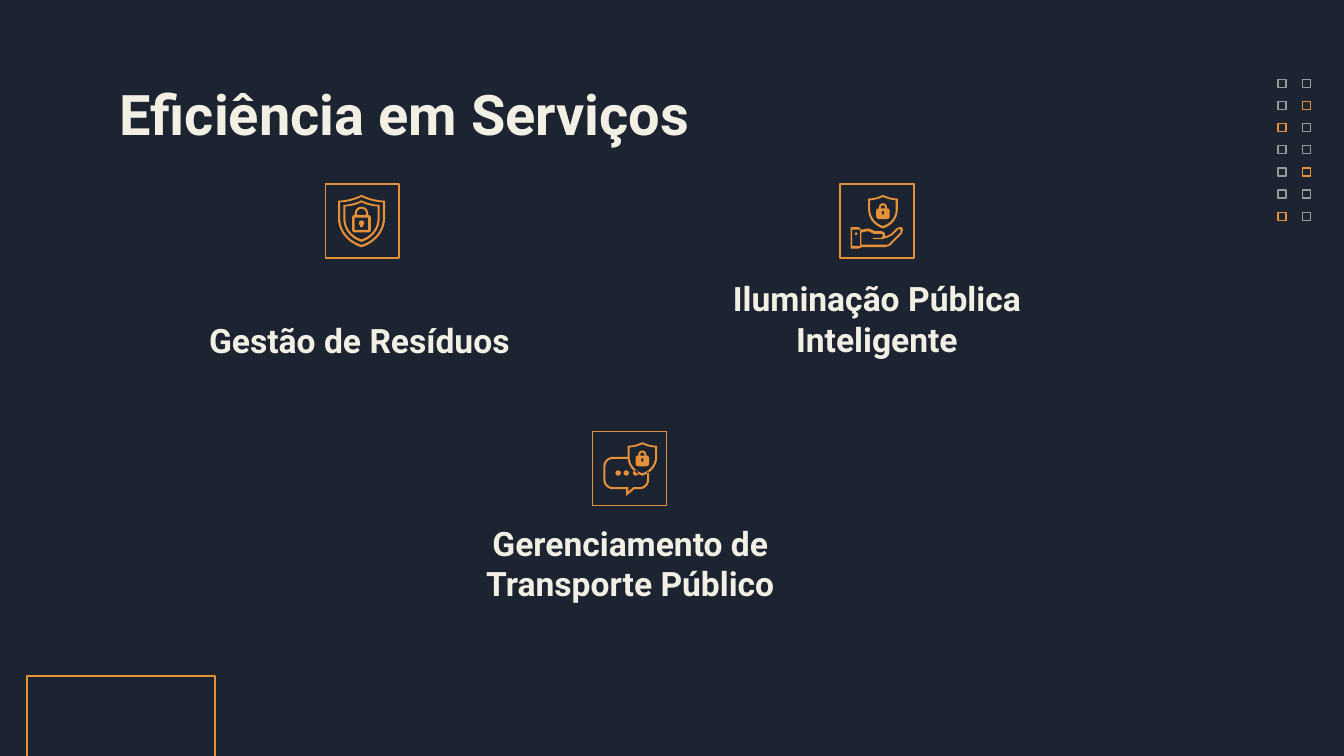
from dataclasses import dataclass
from math import cos, radians, sin

from pptx import Presentation
from pptx.dml.color import RGBColor
from pptx.enum.shapes import MSO_SHAPE
from pptx.enum.text import MSO_ANCHOR, PP_ALIGN
from pptx.util import Inches, Pt

RECTANGLE = MSO_SHAPE.RECTANGLE
TOP, BOTTOM = MSO_ANCHOR.TOP, MSO_ANCHOR.BOTTOM
LEFT, CENTER = PP_ALIGN.LEFT, PP_ALIGN.CENTER
STROKE = Pt(1.1).inches


@dataclass(frozen=True)
class Theme:
    background: str = "1D2431"
    text: str = "F2F0E4"
    accent: str = "E69138"
    muted: str = "999999"
    font: str = "Roboto"
    title_size: float = 30
    label_size: float = 18
    line_width: float = 0.75


def color(value):
    return RGBColor.from_string(value)


# Contours: lists of (x, y) points in inches
def arc(x, y, radius, start, end, steps=10):
    angles = [radians(start + (end - start) * i / steps) for i in range(steps + 1)]
    return [(x + radius * cos(a), y + radius * sin(a)) for a in angles]


def curve(a, b, c, d, steps=10):
    points = []
    for i in range(steps + 1):
        t = i / steps
        weights = ((1 - t) ** 3, 3 * t * (1 - t) ** 2, 3 * t * t * (1 - t), t ** 3)
        points.append(tuple(sum(w * p[axis] for w, p in zip(weights, (a, b, c, d)))
                            for axis in (0, 1)))
    return points


def rectangle(left, top, right, bottom):
    return [(left, top), (right, top), (right, bottom), (left, bottom)]


def shield(x, top, width, height):
    """Outer and inner edge of a shield outline."""
    half = (curve((0, 0), (0.14, 0.06), (0.32, 0.11), (0.5, 0.11))
            + curve((0.5, 0.44), (0.5, 0.68), (0.32, 0.91), (0, 1)))
    unit = half + [(-px, py) for px, py in reversed(half)]
    return [[(x + px * (width - 2 * inset), top + inset + py * (height - 2.2 * inset))
             for px, py in unit] for inset in (0, STROKE)]


def padlock(x, top, width, height, radius):
    """Silhouette of body and shackle, then the shackle opening."""
    arch = top - radius / 4
    body = [(x - radius, top)] + arc(x, arch, radius, 180, 360) + [(x + radius, top)]
    corner = 0.02
    left, right = x - width / 2 + corner, x + width / 2 - corner
    upper, lower = top + corner, top + height - corner
    centers = [(right, upper), (right, lower), (left, lower), (left, upper)]
    for quarter, (corner_x, corner_y) in enumerate(centers):
        start = 90 * quarter - 90
        body += arc(corner_x, corner_y, corner, start, start + 90, 4)
    inner = radius - STROKE
    opening = arc(x, arch, inner, 180, 360) + [(x + inner, top), (x - inner, top)]
    return [body, opening]


def keyhole(x, y, radius, length):
    return arc(x, y, radius, 120, 420) + [(x + radius / 2, y + length),
                                          (x - radius / 2, y + length)]


def small_padlock(x, top):
    return padlock(x, top, 0.1, 0.08, 0.03) + [keyhole(x, top + 0.03, 0.01, 0.02)]


def bubble():
    """Band of a speech bubble, open where the shield covers it."""
    def edge(inset):
        radius = 0.07 - inset
        return ([(4.67, 3.4 + inset)]
                + arc(4.56, 3.47, radius, 270, 180) + arc(4.56, 3.57, radius, 180, 90)
                + [(4.66 + inset, 3.64 - inset), (4.66 + inset, 3.69 - 2 * inset),
                   (4.72 - inset / 2, 3.64 - inset)]
                + arc(4.76, 3.57, radius, 90, 0) + [(4.83 - inset, 3.51)])
    return edge(0) + edge(STROKE)[::-1]


HAND = [
    [(6.33, 1.69), (6.39, 1.69), (6.41, 1.71), (6.46, 1.7), (6.49, 1.71), (6.51, 1.72),
     (6.56, 1.72), (6.58, 1.73), (6.59, 1.76), (6.61, 1.75), (6.63, 1.74), (6.67, 1.7),
     (6.69, 1.69), (6.71, 1.69), (6.72, 1.71), (6.71, 1.74), (6.65, 1.8), (6.62, 1.83),
     (6.58, 1.84), (6.41, 1.84), (6.39, 1.85), (6.33, 1.85)],
    [(6.69, 1.7), (6.7, 1.71), (6.7, 1.73), (6.64, 1.79), (6.61, 1.82), (6.58, 1.82),
     (6.41, 1.82), (6.41, 1.73), (6.46, 1.72), (6.5, 1.74), (6.56, 1.74), (6.57, 1.75),
     (6.56, 1.77), (6.5, 1.77), (6.49, 1.77), (6.5, 1.78), (6.56, 1.78), (6.6, 1.77),
     (6.64, 1.75), (6.68, 1.71)],
    rectangle(6.34, 1.71, 6.4, 1.83),
]


class SlideBuilder:
    def __init__(self, slide, theme):
        self.slide, self.theme = slide, theme
        slide.background.fill.solid()
        slide.background.fill.fore_color.rgb = color(theme.background)

    def square(self, left, top, size, line):
        shape = self.slide.shapes.add_shape(
            RECTANGLE, Inches(left), Inches(top), Inches(size), Inches(size))
        shape.shadow.inherit = False
        shape.fill.background()
        shape.line.color.rgb = color(line)
        shape.line.width = Pt(self.theme.line_width)

    def outline(self, *contours):
        paths = [[(Inches(x), Inches(y)) for x, y in contour] for contour in contours]
        builder = self.slide.shapes.build_freeform(*paths[0][0])
        for index, path in enumerate(paths):
            if index:
                builder.move_to(*path[0])
            builder.add_line_segments(path[1:], close=True)
        shape = builder.convert_to_shape()
        shape.shadow.inherit = False
        shape.fill.solid()
        shape.fill.fore_color.rgb = color(self.theme.accent)
        shape.line.fill.background()

    def text(self, text, left, top, width, height, *, size, align=LEFT, anchor=TOP,
             side_margin=0.1):
        box = self.slide.shapes.add_textbox(
            Inches(left), Inches(top), Inches(width), Inches(height))
        frame = box.text_frame
        frame.word_wrap = True
        frame.vertical_anchor = anchor
        frame.margin_left = frame.margin_right = Inches(side_margin)
        frame.margin_top = frame.margin_bottom = Inches(0.1)
        para = frame.paragraphs[0]
        para.alignment = align
        span = para.add_run()
        span.text = text
        span.font.name = self.theme.font
        span.font.size = Pt(size)
        span.font.bold = True
        span.font.color.rgb = color(self.theme.text)


def main():
    deck = Presentation()
    deck.slide_width, deck.slide_height = Inches(10), Inches(10 * 9 / 16)
    theme = Theme()
    page = SlideBuilder(deck.slides.add_slide(deck.slide_layouts[6]), theme)

    # Grid of small squares and corner square
    highlighted = {(0, 2), (0, 6), (1, 1), (1, 4)}
    for column in range(2):
        for row in range(7):
            line = theme.accent if (column, row) in highlighted else theme.muted
            page.square(9.51 + 0.18 * column, 0.59 + 0.99 * row / 6, 0.06, line)
    page.square(0.2, 5.03, 1.4, theme.accent)

    # Title, service labels and icon frames
    page.text("Eficiência em Serviços", 0.79, 0.49, 8.43, 0.63, size=theme.title_size)
    services = [
        ("Gestão de Resíduos", (1.11, 2.37, 3.13, 0.41), 0.1, (2.42, 1.37)),
        ("Iluminação Pública Inteligente", (4.98, 1.81, 3.09, 0.96), 0.1, (6.25, 1.37)),
        ("Gerenciamento de Transporte Público", (2.92, 4.18, 3.54, 0.41), 0.5,
         (4.41, 3.21)),
    ]
    for label, area, side_margin, corner in services:
        page.text(label, *area, size=theme.label_size, align=CENTER, anchor=BOTTOM,
                  side_margin=side_margin)
        page.square(*corner, 0.55, theme.accent)

    # Shield icon
    page.outline(*shield(2.69, 1.45, 0.35, 0.39))
    page.outline(*shield(2.69, 1.49, 0.27, 0.31))
    page.outline(*padlock(2.69, 1.6, 0.14, 0.13, 0.05),
                 rectangle(2.64, 1.62, 2.74, 1.71))
    page.outline(keyhole(2.69, 1.66, 0.02, 0.03))

    # Hand icon
    page.outline(*HAND)
    page.outline(arc(6.37, 1.74, 0.01, 0, 360))
    page.outline(*shield(6.57, 1.45, 0.22, 0.25))
    page.outline(*small_padlock(6.57, 1.55))

    # Speech bubble icon
    for x in (4.6, 4.66):
        page.outline(arc(x, 3.52, 0.02, 0, 360))
    page.outline(bubble(), arc(4.73, 3.52, 0.02, 0, 360),
                 *shield(4.78, 3.29, 0.22, 0.25))
    page.outline(*small_padlock(4.78, 3.39))

    deck.save("out.pptx")


if __name__ == "__main__":
    main()
